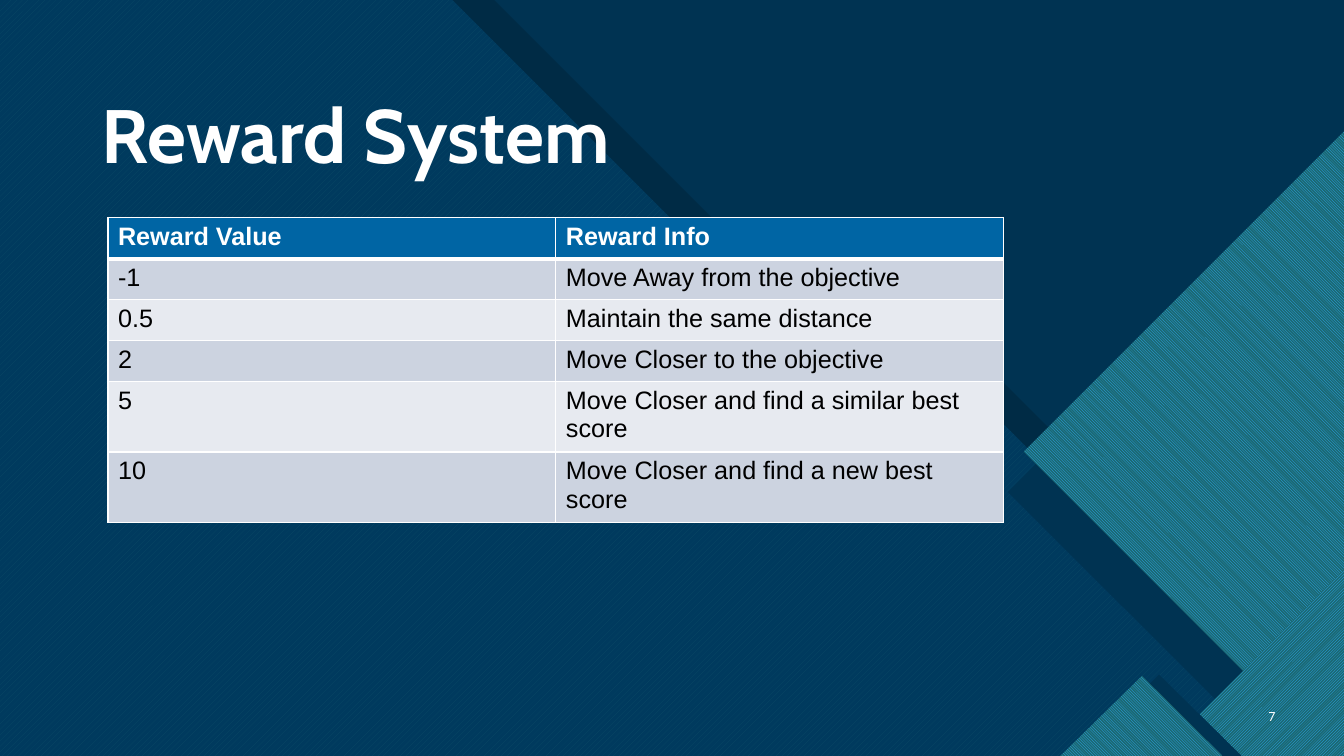
import pptx
import pptx.util
import pptx.dml.color
import pptx.enum.dml
import pptx.enum.text
import pptx.oxml
import pptx.oxml.ns

Cm, Pt = pptx.util.Cm, pptx.util.Pt
PATTERN = pptx.enum.dml.MSO_PATTERN
ANCHOR = pptx.enum.text.MSO_ANCHOR
ALIGN = pptx.enum.text.PP_ALIGN

C = {"navy": "003352", "black": "000000", "white": "FFFFFF", "blue": "0065A4",
     "aqua": "47C3D3", "sky": "2FAFFF", "teal": "1B6872",
     "band_dark": "CCD3E0", "band_light": "E7EAF0"}


def rgb(name):
    return pptx.dml.color.RGBColor.from_string(C[name])


def polygon(s, box, points, color, alpha=None, pattern=None, line_color=None):
    """Filled outline; points are in cm from the box's corner."""
    x, y = box[:2]
    pts = [(Cm(x + px), Cm(y + py)) for px, py in points]
    builder = s.shapes.build_freeform(*pts[0])
    builder.add_line_segments(pts[1:])
    sp = builder.convert_to_shape()
    sp.shadow.inherit = False
    sp.line.fill.background()
    if pattern:
        sp.fill.patterned()
        sp.fill.pattern = pattern
        sp.fill.fore_color.rgb = rgb(line_color)
        sp.fill.back_color.rgb = rgb(color)
    else:
        sp.fill.solid()
        sp.fill.fore_color.rgb = rgb(color)
    if alpha:
        clr = sp._element.spPr.find(".//" + pptx.oxml.ns.qn("a:srgbClr"))
        clr.append(pptx.oxml.parse_xml(
            f'<a:alpha {pptx.oxml.ns.nsdecls("a")} val="{alpha * 1000}"/>'))


def add_run(p, text, font, size, color, bold=False):
    r = p.add_run()
    r.text = text
    r.font.name, r.font.size, r.font.bold = font, Pt(size), bold
    r.font.color.rgb = rgb(color)


def backdrop(s, box):
    w, h = box[2:]
    s.background.fill.solid()
    s.background.fill.fore_color.rgb = rgb("navy")
    # Stepped diagonal panel with its dark edge, muted by a navy veil
    polygon(s, box, [(0, 0), (12.45, 0), (20, 7.55), (23.2, 7.55),
                     (w, 18.22), (w, h), (0, h)], "black")
    polygon(s, box, [(0, 0), (11.4, 0), (18.95, 7.55), (22.15, 7.55),
                     (33.65, h), (0, h)], "blue",
            pattern=PATTERN.WIDE_UPWARD_DIAGONAL, line_color="aqua")
    polygon(s, box, [(0, 0), (w, 0), (w, h), (0, h)], "navy", alpha=85)


def diamonds(s, box):
    w, h = box[2:]
    down, up = PATTERN.LIGHT_DOWNWARD_DIAGONAL, PATTERN.LIGHT_UPWARD_DIAGONAL
    # Large diamond and its shadow
    polygon(s, box, [(25.4, 12.4), (w, 3.94), (w, 17.98), (30.99, 17.98)], "navy")
    polygon(s, box, [(25.8, 11.38), (w, 3.31), (w, h), (33.47, h)], "teal",
            pattern=down, line_color="sky")
    # Corner diamond
    polygon(s, box, [(30.23, 18), (w, 14.36), (w, h), (31.28, h)], "teal",
            pattern=up, line_color="sky")
    # Small diamond and its shadow
    polygon(s, box, [(27.15, h), (29.21, 17), (31.29, h)], "navy")
    polygon(s, box, [(26.72, h), (28.78, 17.03), (30.81, h)], "teal",
            pattern=down, line_color="sky")


def label(s, box, text, font, size, anchor, align, bold=False):
    tf = s.shapes.add_textbox(*map(Cm, box)).text_frame
    tf.word_wrap = True
    tf.vertical_anchor = anchor
    p = tf.paragraphs[0]
    p.alignment = align
    p.line_spacing = 0.9
    add_run(p, text, font, size, "white", bold)


def cell_borders(cell, bottom):
    tcPr = cell._tc.get_or_add_tcPr()
    for i, side in enumerate("LRTB"):
        width = Pt(bottom if side == "B" else 1)
        tcPr.insert(i, pptx.oxml.parse_xml(
            f'<a:ln{side} {pptx.oxml.ns.nsdecls("a")} w="{width}"><a:solidFill>'
            f'<a:srgbClr val="{C["white"]}"/></a:solidFill></a:ln{side}>'))


def reward_table(s, box, rows):
    table = s.shapes.add_table(len(rows), 2, *map(Cm, box)).table
    for i, row in enumerate(rows):
        header = i == 0
        fill = "blue" if header else ("band_light", "band_dark")[i % 2]
        for j, text in enumerate(row):
            cell = table.cell(i, j)
            cell.fill.solid()
            cell.fill.fore_color.rgb = rgb(fill)
            cell_borders(cell, 3 if header else 1)
            add_run(cell.text_frame.paragraphs[0], text, "Arial", 18,
                    "white" if header else "black", header)


REWARDS = [("Reward Value", "Reward Info"),
           ("-1", "Move Away from the objective"),
           ("0.5", "Maintain the same distance"),
           ("2", "Move Closer to the objective"),
           ("5", "Move Closer and find a similar best score"),
           ("10", "Move Closer and find a new best score")]

prs = pptx.Presentation()
prs.slide_width, prs.slide_height = Cm(33.87), Cm(19.05)
s = prs.slides.add_slide(prs.slide_layouts[6])
page = (0, 0, 33.87, 19.05)

backdrop(s, page)
diamonds(s, page)
label(s, (2.31, 2.26, 21.6, 2.39), "Reward System", "Cabin", 54,
      ANCHOR.BOTTOM, ALIGN.LEFT, bold=True)
label(s, (31.27, 17.55, 1.12, 1.02), "7", "Calibri", 10, ANCHOR.MIDDLE, ALIGN.RIGHT)
reward_table(s, (2.72, 5.49, 22.58, 6.18), REWARDS)

prs.save("out.pptx")
